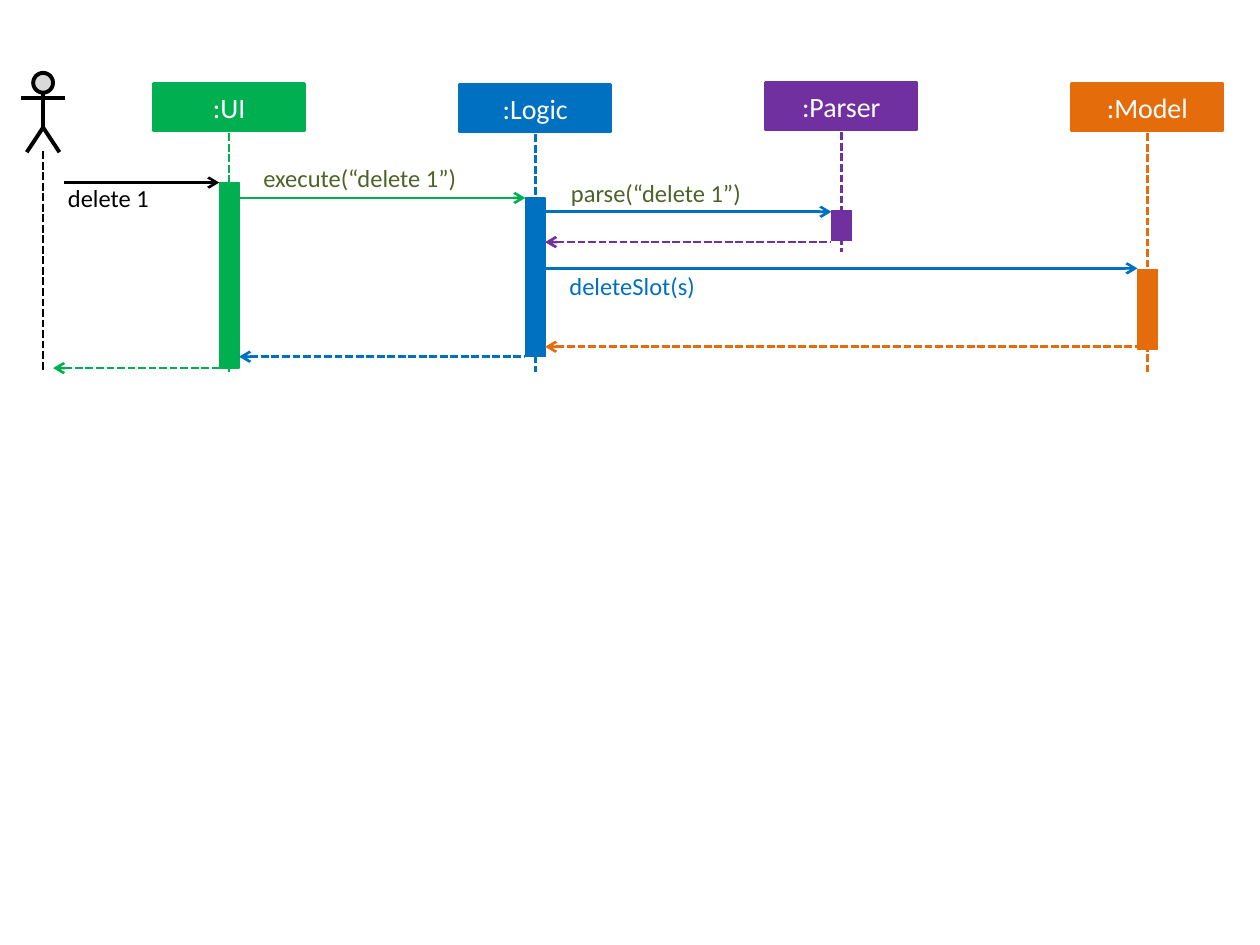
from lxml.etree import SubElement
from pptx import Presentation
from pptx.dml.color import RGBColor
from pptx.enum.dml import MSO_LINE
from pptx.enum.shapes import MSO_CONNECTOR, MSO_SHAPE
from pptx.enum.text import MSO_ANCHOR, MSO_AUTO_SIZE, PP_ALIGN
from pptx.oxml.ns import qn
from pptx.util import Cm, Pt

FONT = "Calibri"
BLACK = RGBColor(0x00, 0x00, 0x00)
WHITE = RGBColor(0xFF, 0xFF, 0xFF)
GREY = RGBColor(0xD9, 0xD9, 0xD9)
GREEN = RGBColor(0x00, 0xB0, 0x50)
BLUE = RGBColor(0x00, 0x70, 0xC0)
PURPLE = RGBColor(0x70, 0x30, 0xA0)
ORANGE = RGBColor(0xE4, 0x6C, 0x0A)
OLIVE = RGBColor(0x4F, 0x62, 0x28)

# All lengths are in centimetres.
# name, colour, header top, activation start, activation end, lifeline end
PARTICIPANTS = [
    ("UI", GREEN, 1.68, 3.68, 7.42, 7.49),
    ("Logic", BLUE, 1.70, 3.99, 7.19, 7.49),
    ("Parser", PURPLE, 1.66, 4.24, 4.85, 5.08),
    ("Model", ORANGE, 1.68, 5.44, 7.04, 7.49),
]
# left participant, right participant, height on the time axis
CALLS = [
    ("Actor", "UI", 3.68),
    ("UI", "Logic", 3.99),
    ("Logic", "Parser", 4.27),
    ("Logic", "Model", 5.41),
]
REPLIES = [
    ("Logic", "Parser", 4.88),
    ("Logic", "Model", 6.99),
    ("UI", "Logic", 7.19),
    ("Actor", "UI", 7.42),
]
# text, colour, left, top, width
LABELS = [
    ("delete 1", BLACK, 1.37, 3.68, 2.39),
    ("execute(“delete 1”)", OLIVE, 5.31, 3.28, 3.96),
    ("parse(“delete 1”)", OLIVE, 11.51, 3.58, 3.96),
    ("deleteSlot(s)", BLUE, 11.48, 5.46, 3.96),
]

ACTOR_X, FIRST_X, STEP = 0.87, 4.62, 6.17
HEADER_WIDTH, HEADER_HEIGHT = 3.05, 0.96
BAR_WIDTH = 0.4
CENTRES = {"Actor": ACTOR_X}
COLOURS = {"Actor": BLACK}
for index, (name, colour, *_) in enumerate(PARTICIPANTS):
    CENTRES[name] = FIRST_X + index * STEP
    COLOURS[name] = colour


def add_line(shapes, start, end, colour, width=1.5, dashed=False, arrow=None):
    """Draw a straight line; arrow is "headEnd", "tailEnd" or None."""
    line = shapes.add_connector(MSO_CONNECTOR.STRAIGHT, *map(Cm, start + end))
    line.line.color.rgb = colour
    line.line.width = Pt(width)
    if dashed:
        line.line.dash_style = MSO_LINE.SQUARE_DOT
    if arrow:
        SubElement(line.line._get_or_add_ln(), qn("a:" + arrow), type="arrow")
    SubElement(line._element.spPr, qn("a:effectLst"))


def add_box(shapes, kind, bounds, fill, outline, width):
    """Draw a filled preset shape without a shadow."""
    box = shapes.add_shape(kind, *map(Cm, bounds))
    box.shadow.inherit = False
    box.fill.solid()
    box.fill.fore_color.rgb = fill
    box.line.color.rgb = outline
    box.line.width = Pt(width)
    return box


def write(frame, text, size, colour, align):
    """Put one styled paragraph into a text frame."""
    frame.text = text
    paragraph = frame.paragraphs[0]
    paragraph.alignment = align
    font = paragraph.runs[0].font
    font.name, font.size, font.color.rgb = FONT, Pt(size), colour


def add_actor(shapes):
    """Draw the stick figure as a group, with its lifeline."""
    figure = shapes.add_group_shape().shapes
    add_box(figure, MSO_SHAPE.FLOWCHART_CONNECTOR,
            (ACTOR_X - 0.2, 1.47, 0.4, 0.4), GREY, BLACK, 2.25)
    add_line(figure, (ACTOR_X, 1.88), (ACTOR_X, 2.59), BLACK, 2.25)
    outline = figure.build_freeform(Cm(ACTOR_X - 0.33), Cm(3.07))
    outline.add_line_segments(
        [(Cm(ACTOR_X), Cm(2.57)), (Cm(ACTOR_X + 0.33), Cm(3.07))], close=False)
    legs = outline.convert_to_shape()
    legs.shadow.inherit = False
    legs.fill.background()
    legs.line.color.rgb = BLACK
    legs.line.width = Pt(2.25)
    add_line(figure, (ACTOR_X - 0.45, 1.98), (ACTOR_X + 0.45, 1.98), BLACK, 2.25)
    add_line(shapes, (ACTOR_X, 3.05), (ACTOR_X, 7.49), BLACK, dashed=True)


def add_participant(shapes, name, colour, top, start, end, life_end):
    """Draw a header, its lifeline and its activation bar."""
    x = CENTRES[name]
    header = add_box(shapes, MSO_SHAPE.RECTANGLE,
                     (x - HEADER_WIDTH / 2, top, HEADER_WIDTH, HEADER_HEIGHT),
                     colour, colour, 1.5)
    header.text_frame.vertical_anchor = MSO_ANCHOR.MIDDLE
    write(header.text_frame, ":" + name, 16, WHITE, PP_ALIGN.CENTER)
    add_line(shapes, (x, top + HEADER_HEIGHT + 0.05), (x, life_end), colour, dashed=True)
    add_box(shapes, MSO_SHAPE.RECTANGLE,
            (x - BAR_WIDTH / 2, start, BAR_WIDTH, end - start), colour, colour, 0.75)


def add_message(shapes, left, right, y, is_reply):
    """Draw a call to the right or a dashed reply to the left, in the sender's colour."""
    start = (CENTRES[left] + BAR_WIDTH / 2, y)
    if left == "Actor" and not is_reply:
        start = (ACTOR_X + 0.43, y)
    end = (CENTRES[right] - BAR_WIDTH / 2, y)
    add_line(shapes, start, end, COLOURS[right if is_reply else left],
             dashed=is_reply, arrow="headEnd" if is_reply else "tailEnd")


def add_label(shapes, text, colour, left, top, width):
    """Write the text of a message."""
    label = shapes.add_textbox(Cm(left), Cm(top), Cm(width), Cm(0.6))
    frame = label.text_frame
    frame.word_wrap = True
    frame.auto_size = MSO_AUTO_SIZE.SHAPE_TO_FIT_TEXT
    frame.margin_left = frame.margin_right = 0
    frame.margin_top = frame.margin_bottom = 0
    write(frame, text, 14, colour, PP_ALIGN.LEFT)


presentation = Presentation()
presentation.slide_width, presentation.slide_height = Cm(25.4), Cm(19.05)
diagram = presentation.slides.add_slide(presentation.slide_layouts[6]).shapes

add_actor(diagram)
for participant in PARTICIPANTS:
    add_participant(diagram, *participant)
for call in CALLS:
    add_message(diagram, *call, is_reply=False)
for reply in REPLIES:
    add_message(diagram, *reply, is_reply=True)
for label_row in LABELS:
    add_label(diagram, *label_row)

presentation.save("out.pptx")
